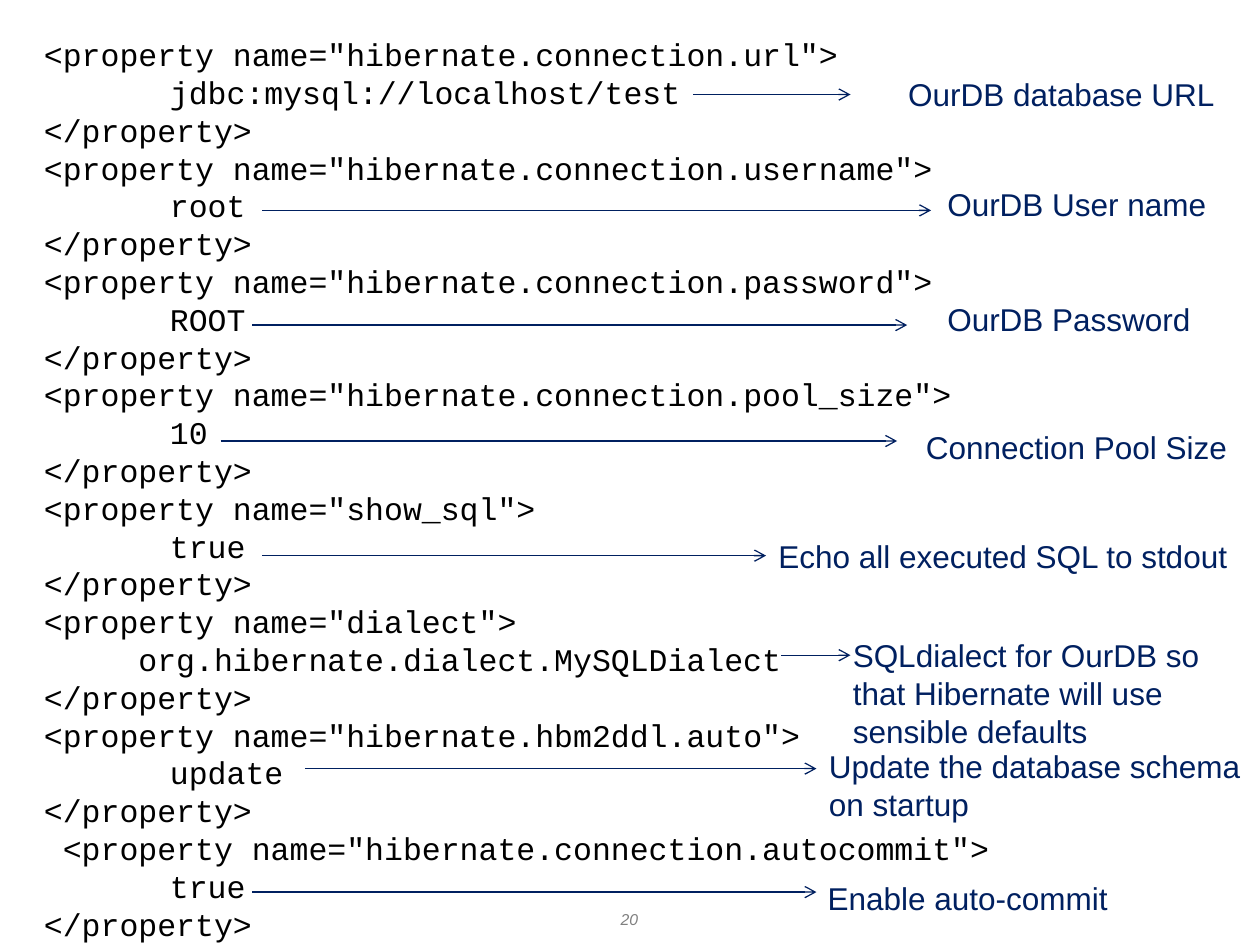
from lxml import etree
from pptx import Presentation
from pptx.dml.color import RGBColor
from pptx.enum.shapes import MSO_CONNECTOR
from pptx.enum.text import MSO_AUTO_SIZE, PP_ALIGN
from pptx.oxml.ns import qn
from pptx.util import Inches, Pt

STRAIGHT = MSO_CONNECTOR.STRAIGHT
NO_AUTOFIT = MSO_AUTO_SIZE.NONE
CENTER, LEFT = PP_ALIGN.CENTER, PP_ALIGN.LEFT
BLACK = RGBColor(0x00, 0x00, 0x00)
NAVY = RGBColor(0x00, 0x20, 0x60)
GRAY = RGBColor(0x80, 0x80, 0x80)

CODE_FONT = {"name": "Courier New", "size": Pt(18)}
LABEL_FONT = {"name": "Arial", "size": Pt(18)}
NUMBER_FONT = {"name": "Arial", "size": Pt(9), "italic": True}

# (name, value, tag indent, value indent)
PROPERTIES = [
    ("hibernate.connection.url", "jdbc:mysql://localhost/test", 0, 1),
    ("hibernate.connection.username", "root", 0, 1),
    ("hibernate.connection.password", "ROOT", 0, 1),
    ("hibernate.connection.pool_size", "10", 0, 1),
    ("show_sql", "true", 0, 1),
    ("dialect", "org.hibernate.dialect.MySQLDialect", 0, 0.75),
    ("hibernate.hbm2ddl.auto", "update", 0, 1),
    ("hibernate.connection.autocommit", "true", 0.15, 1),
]

# (text, label box, wraps, arrow start, arrow end, arrow height)
NOTES = [
    ("OurDB database URL", (7.11, 0.55, 2.72, 0.4), False, 5.5, 6.75, 0.75),
    ("OurDB User name", (7.42, 1.42, 2.41, 0.4), False, 2.08, 7.39, 1.67),
    ("OurDB Password", (7.42, 2.33, 2.21, 0.4), False, 2, 7.2, 2.58),
    ("Connection Pool Size", (7.25, 3.35, 2.61, 0.4), False, 1.75, 7.12, 3.5),
    ("Echo all executed SQL to stdout", (6.08, 4.21, 3.94, 0.4), True, 2.08, 6.08, 4.41),
    ("SQLdialect for OurDB so that Hibernate will use sensible defaults",
     (6.67, 5, 3.33, 1.01), True, 6.2, 6.75, 5.2),
    ("Update the database schema on startup", (6.48, 5.88, 3.54, 0.71), True, 2.42, 6.48, 6.1),
    ("Enable auto-commit", (6.47, 6.93, 2.45, 0.4), False, 2, 6.48, 7.08),
]


def add_text(page, box, lines, font, color, align=LEFT, wrap=True):
    """Place a text box holding (text, indent) lines in one format."""
    frame = page.shapes.add_textbox(*map(Inches, box)).text_frame
    frame.word_wrap = wrap
    frame.auto_size = NO_AUTOFIT
    for index, (text, indent) in enumerate(lines):
        para = frame.add_paragraph() if index else frame.paragraphs[0]
        para.alignment = align
        if indent:
            para._p.get_or_add_pPr().set("marL", str(Inches(indent)))
        span = para.add_run()
        span.text = text
        for key, value in font.items():
            setattr(span.font, key, value)
        span.font.color.rgb = color


def add_arrow(page, start, end, height):
    """Draw a thin level arrow pointing right."""
    arrow = page.shapes.add_connector(STRAIGHT, *map(Inches, (start, height, end, height)))
    arrow.line.color.rgb = NAVY
    arrow.line.width = Pt(0.75)
    etree.SubElement(arrow.line._get_or_add_ln(), qn("a:tailEnd"), type="arrow")
    etree.SubElement(arrow._element.spPr, qn("a:effectLst"))


def add_listing(page, box):
    """Write the property elements as a code listing."""
    lines = []
    for name, value, tag_indent, value_indent in PROPERTIES:
        lines += [(f'<property name="{name}">', tag_indent),
                  (value, value_indent), ("</property>", 0)]
    add_text(page, box, lines, CODE_FONT, BLACK)


def add_note(page, text, box, wrap, start, end, height):
    """Place an explanation and the arrow leading to it."""
    add_text(page, box, [(text, 0)], LABEL_FONT, NAVY, wrap=wrap)
    add_arrow(page, start, end, height)


def build():
    """Build and save the annotated configuration slide."""
    deck = Presentation()
    deck.slide_width, deck.slide_height = Inches(10), Inches(7.5)
    page = deck.slides.add_slide(deck.slide_layouts[6])
    add_text(page, (3.83, 7.17, 2.33, 0.26), [("20", 0)], NUMBER_FONT, GRAY, CENTER)
    add_listing(page, (0.25, 0.23, 9.58, 7.37))
    for note in NOTES:
        add_note(page, *note)
    deck.save("out.pptx")


build()
